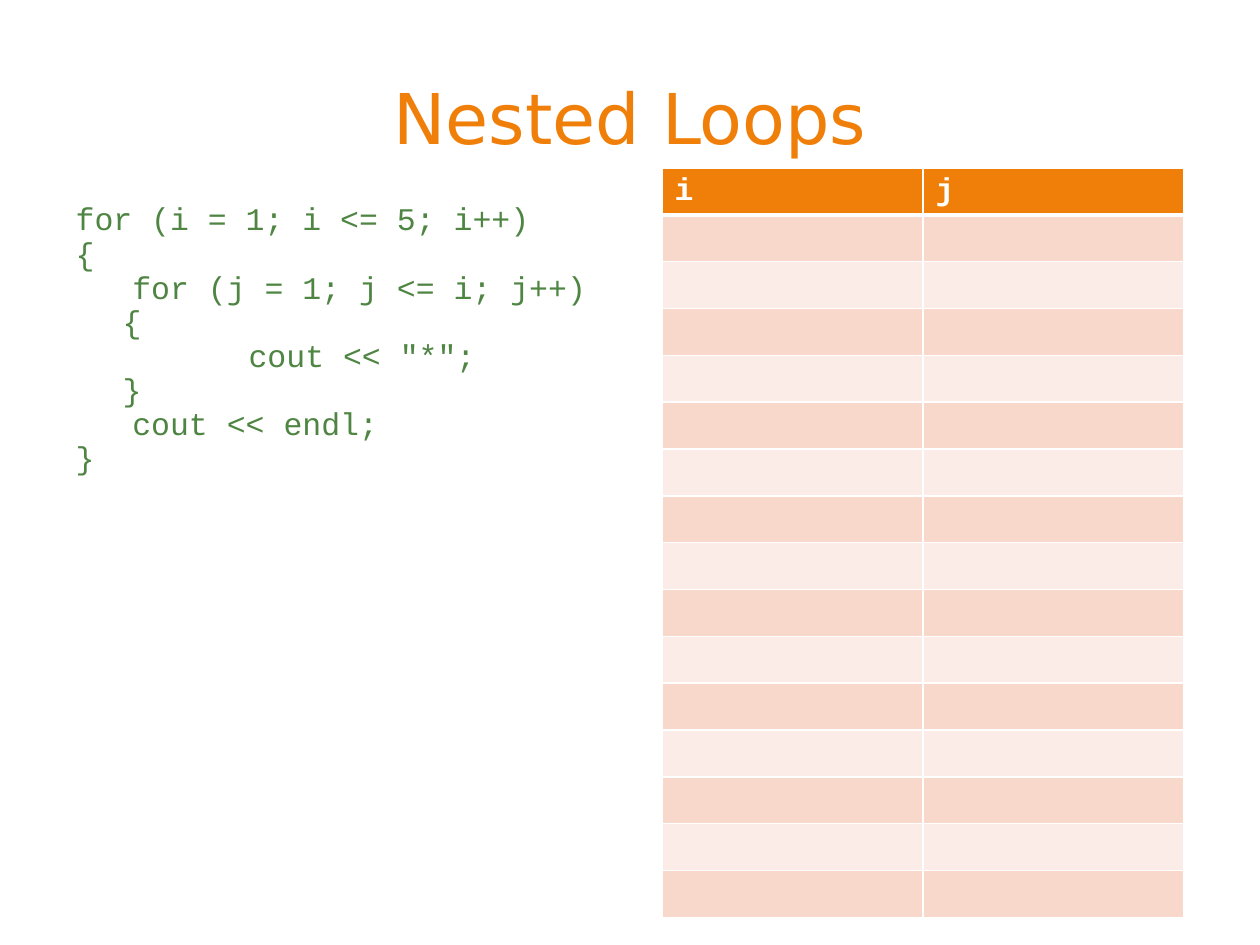
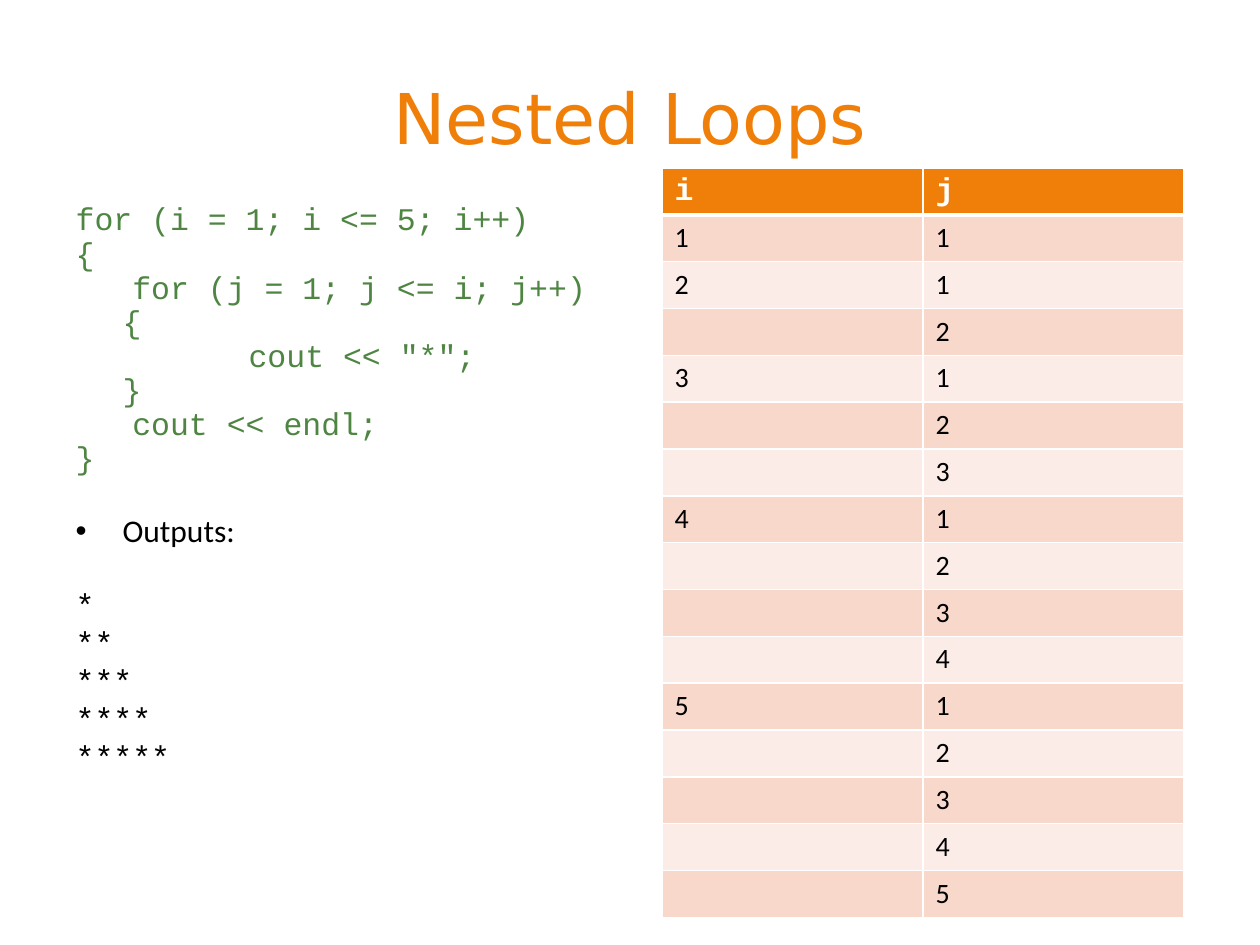
from lxml import etree
from pptx import Presentation
from pptx import util as u
from pptx.dml.color import RGBColor
from pptx.enum import text as t
from pptx.oxml import ns

TITLE = "Nested Loops"
CODE = [
    "for (i = 1; i <= 5; i++)",
    "{",
    "   for (j = 1; j <= i; j++)",
    "\t{",
    "   \tcout << \"*\";",
    "\t}",
    "   cout << endl;",
    "}",
]
LABEL = "Outputs:"
HEAD = ("i", "j")
COUNT = 5
STARS = ["*" * n for n in range(1, COUNT + 1)]
STEPS = [(str(i) if j == 1 else "", str(j))
         for i in range(1, COUNT + 1) for j in range(1, i + 1)]
BLANK = [("", "")] * len(STEPS)

HUE = {"main": "F07F09", "code": "4E8542", "ink": "000000",
       "white": "FFFFFF", "dark": "F9D8CC", "pale": "FCECE7"}
MONO, SANS, WIDE = "Courier New", "Calibri", "DejaVu Sans"
SCALE = 914400 / 126
GAP = 4.3


def px(n):
    return u.Emu(int(n * SCALE))


def place(shape, left, top, width, height):
    shape.left, shape.top = px(left), px(top)
    shape.width, shape.height = px(width), px(height)


def write(para, words, font=MONO, size=18, color="ink", bold=False,
          align=None, line=None, before=None):
    run = para.add_run()
    run.text = words
    run.font.name, run.font.size, run.font.bold = font, u.Pt(size), bold
    run.font.color.rgb = RGBColor.from_string(HUE[color])
    para.alignment = align
    para.line_spacing = line
    if before is not None:
        para.space_before = u.Pt(before)


def hang(para, mark=None):
    props = para._p.get_or_add_pPr()
    props.set("marL", str(px(47)))
    props.set("indent", str(px(-47)))
    props.set("defTabSz", str(px(126)))
    if mark:
        etree.SubElement(props, ns.qn("a:buChar"), char=mark)
    else:
        etree.SubElement(props, ns.qn("a:buNone"))


def edge(cell, side, width):
    props = cell._tc.get_or_add_tcPr()
    line = etree.SubElement(props, ns.qn("a:ln" + side), w=str(u.Pt(width)))
    fill = etree.SubElement(line, ns.qn("a:solidFill"))
    etree.SubElement(fill, ns.qn("a:srgbClr"), val=HUE["white"])


def add_body(slide, lines, box):
    body = slide.placeholders[1]
    place(body, *box)
    frame = body.text_frame
    frame.word_wrap = True
    frame.auto_size = t.MSO_AUTO_SIZE.NONE
    for n, (words, mark, style) in enumerate(lines):
        para = frame.add_paragraph() if n else frame.paragraphs[0]
        hang(para, mark)
        write(para, words, **style)


def add_grid(slide, rows):
    rows = [HEAD] + rows
    left, top, width, height = 662, 168, 522, 750
    grid = slide.shapes.add_table(len(rows), len(HEAD), px(left), px(top),
                                  px(width), px(height)).table
    for r, row in enumerate(rows):
        grid.rows[r].height = px(height / len(rows))
        for c, words in enumerate(row):
            cell = grid.cell(r, c)
            for side in "LRTB":
                thick = (r, side) in ((0, "B"), (1, "T"))
                edge(cell, side, 3 if thick else 1)
            cell.fill.solid()
            tone = "dark" if r % 2 else "pale"
            cell.fill.fore_color.rgb = RGBColor.from_string(
                HUE[tone if r else "main"])
            cell.margin_top = px(6 if words else 0)
            cell.margin_bottom = 0
            if words:
                style = (dict(font=SANS, size=16) if r
                         else dict(color="white", bold=True))
                write(cell.text_frame.paragraphs[0], words, **style)


def add_slide(deck, lines, box, rows):
    slide = deck.slides.add_slide(deck.slide_layouts[1])
    title = slide.shapes.title
    place(title, 63, 38, 1134, 157)
    title.text_frame.vertical_anchor = t.MSO_ANCHOR.MIDDLE
    write(title.text_frame.paragraphs[0], TITLE, font=WIDE, size=40,
          color="main", align=t.PP_ALIGN.CENTER)
    add_body(slide, lines, box)
    add_grid(slide, rows)


def main():
    deck = Presentation()
    deck.slide_width, deck.slide_height = px(1260), px(945)
    code = [(words, None, dict(color="code", line=0.7 if n else 1.1,
                               before=GAP if n else 0))
            for n, words in enumerate(CODE)]
    label = [(LABEL, "•", dict(font=SANS, line=0.9, before=23))]
    stars = [(words, None, dict(line=0.8, before=GAP if n else 25))
             for n, words in enumerate(STARS)]
    add_slide(deck, code, (63, 189, 1134, 325), BLANK)
    add_slide(deck, code + label + stars, (63, 189, 588, 724), STEPS)
    deck.save("out.pptx")


if __name__ == "__main__":
    main()
